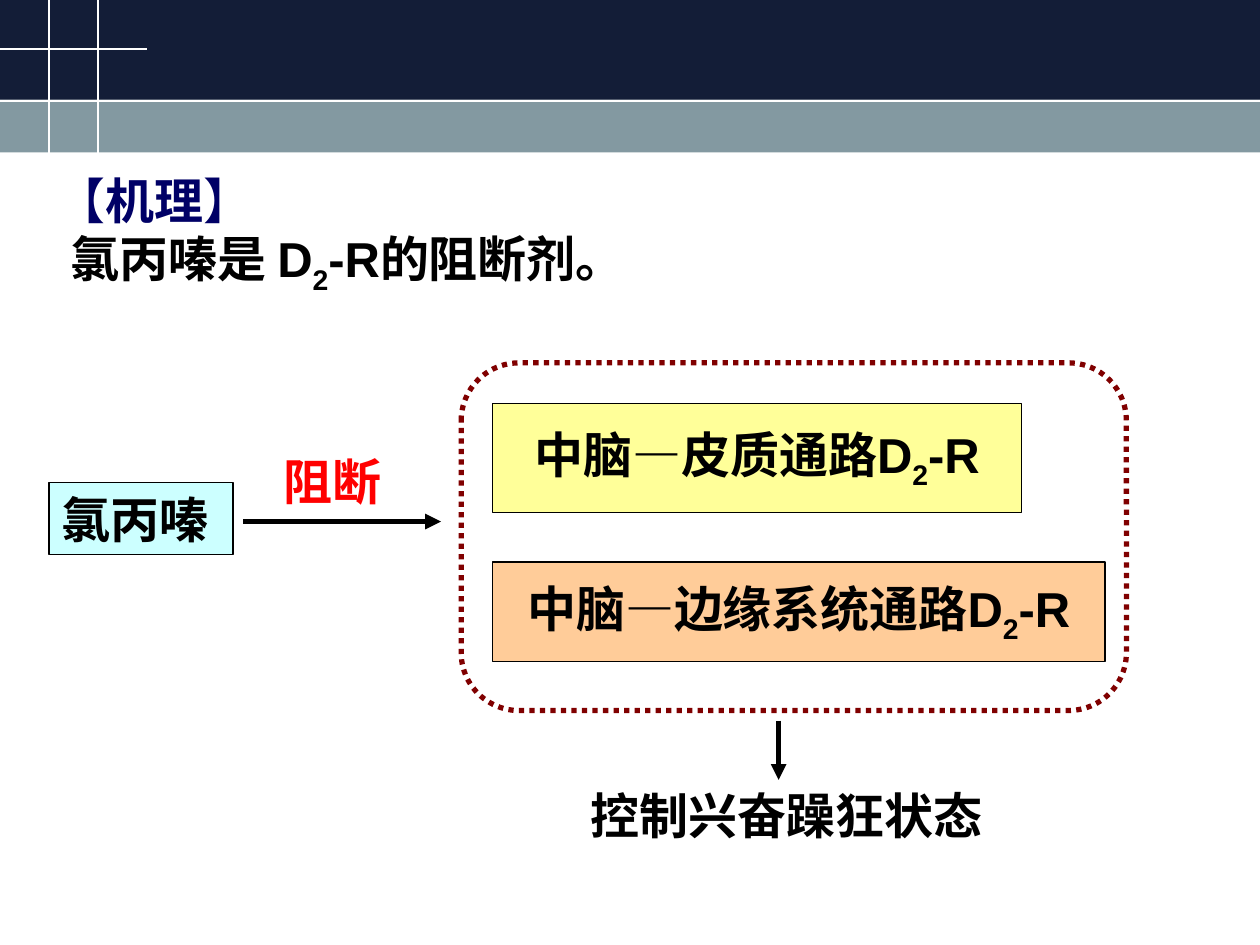
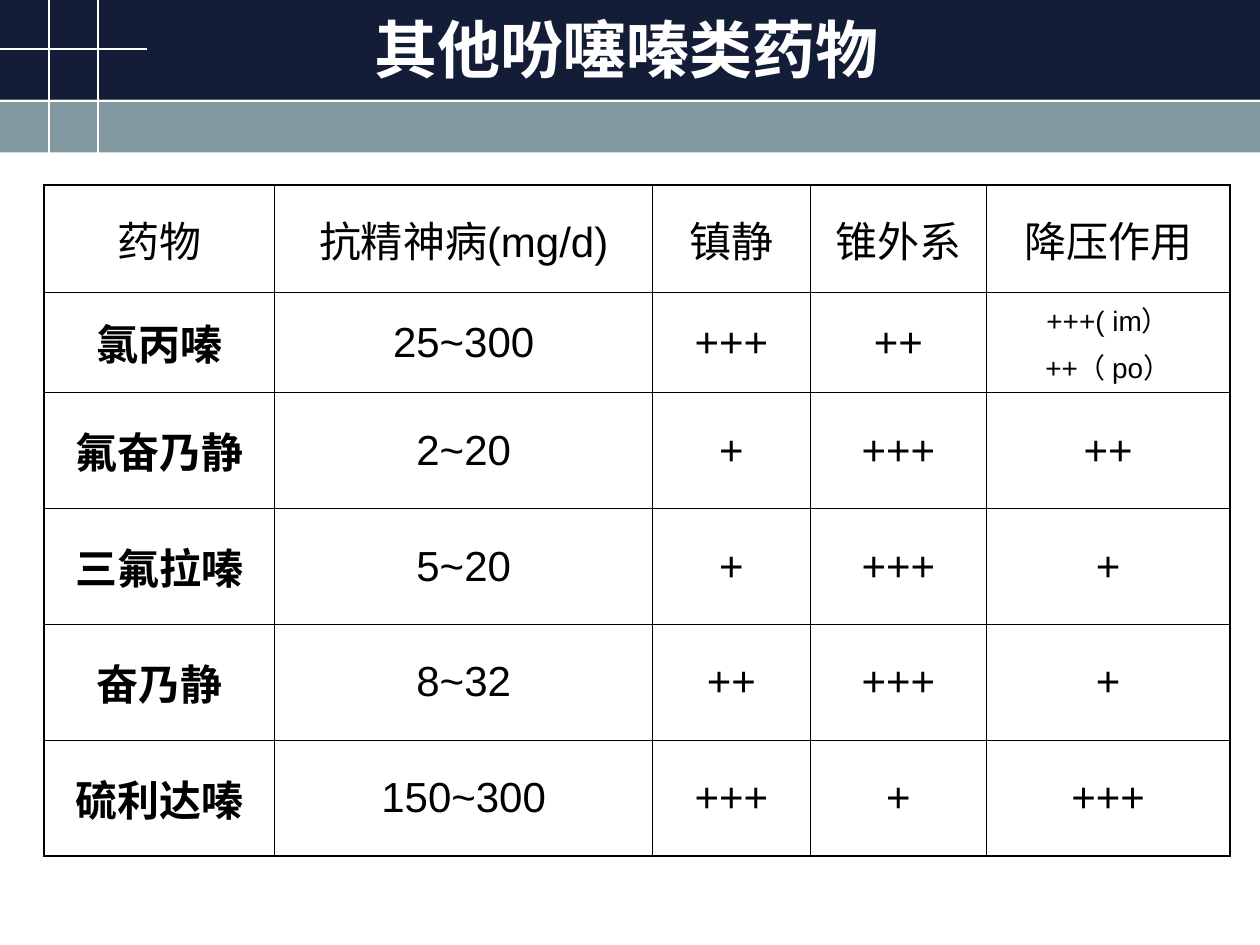
from lxml import etree
from pptx import Presentation
from pptx.dml.color import RGBColor
from pptx.enum.dml import MSO_LINE
from pptx.enum.shapes import MSO_CONNECTOR, MSO_SHAPE
from pptx.enum.text import MSO_ANCHOR as ANCHOR, MSO_AUTO_SIZE, PP_ALIGN as ALIGN
from pptx.oxml.ns import qn
from pptx.util import Inches, Pt

BLACK, WHITE, RED = "000000", "FFFFFF", "FF0000"
NAVY, STEEL, HEADING, MAROON = "131D37", "8399A1", "000066", "800000"
CYAN, YELLOW, ORANGE = "CCFFFF", "FFFF99", "FFCC99"
LATIN, CJK = "Arial", "Noto Sans CJK SC"


def rgb(hex_color):
    return RGBColor.from_string(hex_color)


def inches(*lengths):
    return [Inches(n) for n in lengths]


class Deck:
    """Holds the shared style and the current slide."""

    def __init__(self):
        self.prs = Presentation()
        self.prs.slide_width, self.prs.slide_height = inches(10, 7.5)
        self.s = None

    def new_slide(self, layout):
        self.s = self.prs.slides.add_slide(self.prs.slide_layouts[layout])
        if len(self.prs.slides) == 1:
            self.master_bands()

    def master_bands(self):
        """Draw the header bands and grid lines, then hand them to the master."""
        parts = [self.box((0, 0.79, 10, 0.42), STEEL),
                 self.box((0, 0, 10, 0.79), NAVY)]
        for ends in ((0.78, 0, 0.78, 1.24), (0, 0.39, 1.17, 0.39),
                     (0.39, 0, 0.39, 1.24), (0, 0.8, 10, 0.8)):
            parts.append(self.line(ends, WHITE, 1))
        tree = self.prs.slide_master.shapes._spTree
        for i, part in enumerate(parts):
            el = part._element
            el.xpath(".//p:cNvPr")[0].set("id", str(100 + i))
            tree.insert(2 + i, el)

    def run(self, p, text, size=28, color=BLACK, bold=True, font=LATIN, sub=False):
        r = p.add_run()
        r.text = text
        f = r.font
        f.size, f.bold, f.name, f.color.rgb = Pt(size), bold, font, rgb(color)
        rPr = r._r.get_or_add_rPr()
        if sub:
            rPr.set("baseline", "-25000")
        ea = etree.Element(qn("a:ea"), typeface=CJK)
        rPr.find(qn("a:latin")).addnext(ea)

    def receptor(self, p, before, after=""):
        """Write 'before D2-R after' with the 2 set low."""
        self.run(p, before + "D")
        self.run(p, "2", sub=True)
        self.run(p, "-R" + after)

    def frame(self, sp, anchor=ANCHOR.MIDDLE, wrap=False):
        tf = sp.text_frame
        tf.auto_size, tf.word_wrap, tf.vertical_anchor = MSO_AUTO_SIZE.NONE, wrap, anchor
        return tf

    def place(self, sp, at):
        sp.left, sp.top, sp.width, sp.height = inches(*at)

    def box(self, at, fill=None, line=None, width=0.75, dash=None,
            kind=MSO_SHAPE.RECTANGLE):
        sp = self.s.shapes.add_shape(kind, *inches(*at))
        sp.shadow.inherit = False
        if fill:
            sp.fill.solid()
            sp.fill.fore_color.rgb = rgb(fill)
        else:
            sp.fill.background()
        if line:
            sp.line.color.rgb, sp.line.width = rgb(line), Pt(width)
            if dash:
                sp.line.dash_style = dash
        else:
            sp.line.fill.background()
        return sp

    def box_paragraph(self, at, fill, align):
        p = self.frame(self.box(at, fill, BLACK)).paragraphs[0]
        p.alignment = align
        return p

    def label(self, at, text, color=BLACK):
        tb = self.s.shapes.add_textbox(*inches(*at))
        self.run(self.frame(tb).paragraphs[0], text, color=color)

    def line(self, ends, color=BLACK, width=3, arrow=False):
        c = self.s.shapes.add_connector(MSO_CONNECTOR.STRAIGHT, *inches(*ends))
        c.line.color.rgb, c.line.width = rgb(color), Pt(width)
        if arrow:
            etree.SubElement(c.line._get_or_add_ln(), qn("a:tailEnd"), type="triangle")
        etree.SubElement(c._element.spPr, qn("a:effectLst"))
        return c

    def title(self, at, text):
        sp = self.s.shapes.title
        self.place(sp, at)
        p = self.frame(sp).paragraphs[0]
        p.alignment = ALIGN.LEFT
        self.run(p, text, 36, WHITE)

    def body(self, at, indents):
        """Place the body and return one unbulleted paragraph per indent."""
        sp = self.s.placeholders[1]
        self.place(sp, at)
        tf = self.frame(sp, ANCHOR.TOP, True)
        tf.margin_top = 0
        paragraphs = [tf.paragraphs[0]]
        paragraphs += [tf.add_paragraph() for _ in indents[1:]]
        for p, indent in zip(paragraphs, indents):
            pPr = p._p.get_or_add_pPr()
            pPr.set("marL", str(Inches(indent)))
            pPr.set("indent", "0")
            etree.SubElement(pPr, qn("a:buNone"))
            p.space_before = Pt(0)
        return paragraphs

    def cell_borders(self, cell, widths):
        tcPr = cell._tc.get_or_add_tcPr()
        for i, (side, width) in enumerate(zip("LRTB", widths)):
            ln = etree.Element(qn("a:ln" + side), w=str(Pt(width)))
            fill = etree.SubElement(ln, qn("a:solidFill"))
            etree.SubElement(fill, qn("a:srgbClr"), val=BLACK)
            tcPr.insert(i, ln)

    def table(self, left, top, cols, heights, rows, thin=0.45, thick=1.08):
        at = inches(left, top, sum(cols), sum(heights))
        tbl = self.s.shapes.add_table(len(rows), len(cols), *at).table
        tbl.first_row = tbl.horz_banding = False
        for col, width in zip(tbl.columns, cols):
            col.width = Inches(width)
        last_row, last_col = len(rows) - 1, len(cols) - 1
        for i, row in enumerate(rows):
            tbl.rows[i].height = Inches(heights[i])
            for j, text in enumerate(row):
                cell = tbl.cell(i, j)
                cell.fill.background()
                cell.vertical_anchor = ANCHOR.MIDDLE
                outer = (j == 0, j == last_col, i == 0, i == last_row)
                self.cell_borders(cell, [thick if o else thin for o in outer])
                self.cell_text(cell.text_frame, text, bold=i > 0 and j == 0)

    def cell_text(self, tf, text, bold):
        lines = text.split("\n")
        size = 24 if len(lines) == 1 else 16
        for n, line in enumerate(lines):
            p = tf.add_paragraph() if n else tf.paragraphs[0]
            p.alignment = ALIGN.CENTER
            if n:
                p.space_before = Pt(4)
            self.run(p, line, size, bold=bold, font=CJK if bold else LATIN)


def mechanism_slide(d):
    d.new_slide(1)
    title = d.s.shapes.title._element
    title.getparent().remove(title)

    # Statement
    heading, statement = d.body((0.35, 1.35, 8.83, 5.55), (0, 0.11))
    for text, bold in (("【", False), ("机理", True), ("】", False)):
        d.run(heading, text, color=HEADING, bold=bold)
    d.receptor(statement, "氯丙嗪是 ", "的阻断剂。")

    # Drug and blocked pathways
    d.run(d.box_paragraph((0.39, 3.83, 1.46, 0.57), CYAN, ALIGN.LEFT), "氯丙嗪")
    for at, fill, pathway in (((3.91, 3.2, 4.2, 0.87), YELLOW, "中脑—皮质通路"),
                              ((3.91, 4.46, 4.86, 0.79), ORANGE, "中脑—边缘系统通路")):
        d.receptor(d.box_paragraph(at, fill, ALIGN.CENTER), pathway)
    d.box((3.66, 2.88, 5.28, 2.76), line=MAROON, width=3,
          dash=MSO_LINE.ROUND_DOT, kind=MSO_SHAPE.ROUNDED_RECTANGLE)

    # Arrows and their labels
    d.line((1.93, 4.14, 3.5, 4.14), arrow=True)
    d.label((2.15, 3.53, 0.97, 0.57), "阻断", RED)
    d.line((6.18, 5.72, 6.18, 6.19), arrow=True)
    d.label((4.59, 6.18, 3.48, 0.57), "控制兴奋躁狂状态")


def drugs_slide(d):
    d.new_slide(5)
    d.title((2.87, 0.24, 4.47, 0.28), "其他吩噻嗪类药物")

    # Comparison of the drugs
    d.table(0.35, 1.47, (1.83, 3, 1.25, 1.4, 1.93), [0.85, 0.71] + [0.92] * 4, (
        ("药物", "抗精神病(mg/d)", "镇静", "锥外系", "降压作用"),
        ("氯丙嗪", "25~300", "+++", "++", "+++( im）\n++（ po）"),
        ("氟奋乃静", "2~20", "+", "+++", "++"),
        ("三氟拉嗪", "5~20", "+", "+++", "+"),
        ("奋乃静", "8~32", "++", "+++", "+"),
        ("硫利达嗪", "150~300", "+++", "+", "+++"),
    ))


def main():
    d = Deck()
    mechanism_slide(d)
    drugs_slide(d)
    d.prs.save("out.pptx")


if __name__ == "__main__":
    main()
